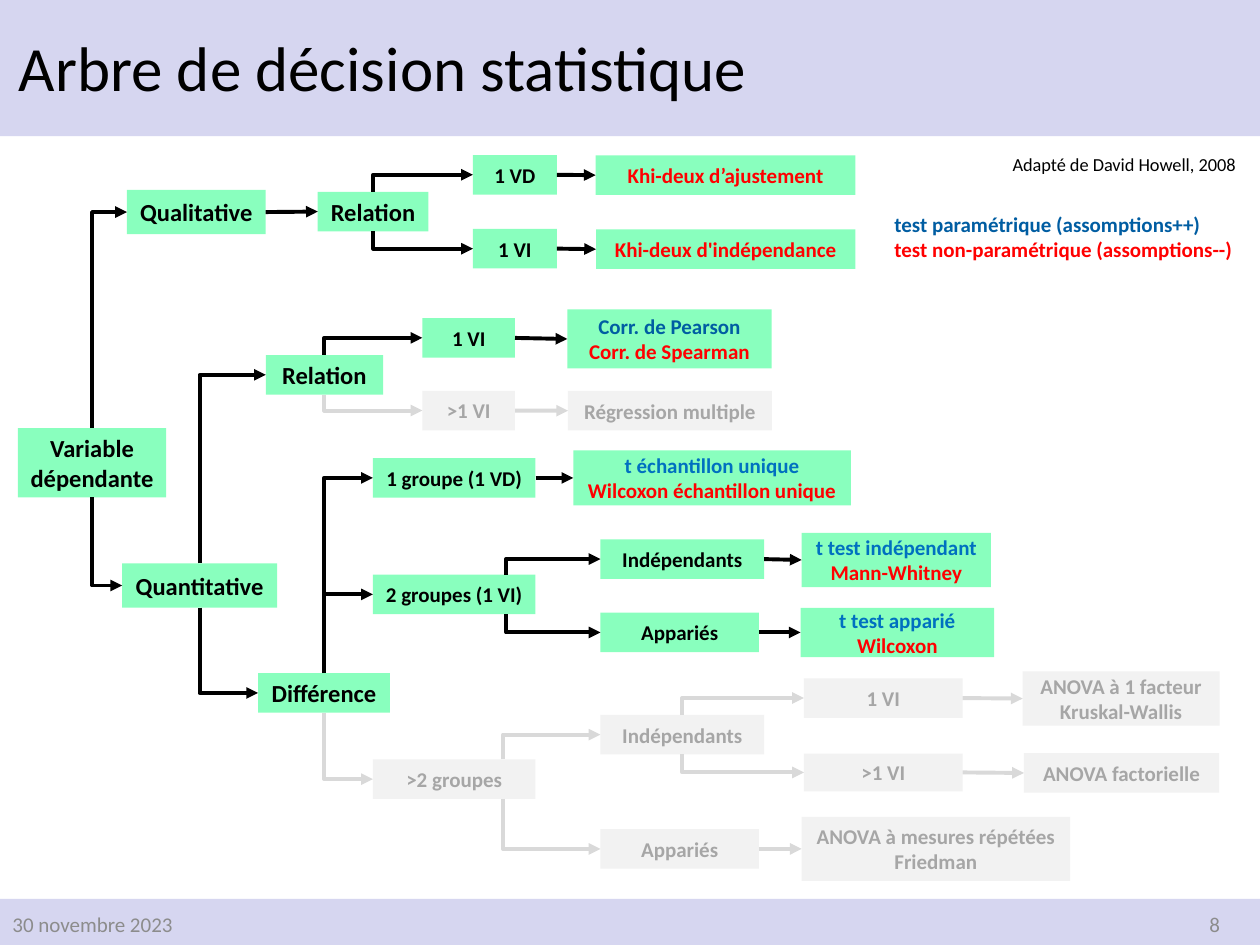
from dataclasses import dataclass

from lxml import etree
from pptx import Presentation
from pptx.dml.color import RGBColor
from pptx.enum.shapes import MSO_CONNECTOR, MSO_SHAPE
from pptx.enum.text import MSO_ANCHOR, MSO_AUTO_SIZE, PP_ALIGN
from pptx.oxml.ns import qn
from pptx.util import Pt

STRAIGHT, ELBOW = MSO_CONNECTOR.STRAIGHT, MSO_CONNECTOR.ELBOW
RECTANGLE = MSO_SHAPE.RECTANGLE
TOP, MIDDLE = MSO_ANCHOR.TOP, MSO_ANCHOR.MIDDLE
LEFT, CENTER, RIGHT = PP_ALIGN.LEFT, PP_ALIGN.CENTER, PP_ALIGN.RIGHT
NO_AUTOFIT = MSO_AUTO_SIZE.NONE
TITLE_ONLY = 5
LEFT_SITE, RIGHT_SITE = 1, 3


@dataclass(frozen=True)
class Theme:
    font: str = "Calibri"
    band: str = "D6D6F0"
    node: str = "89FFBE"
    muted_node: str = "F2F2F2"
    ink: str = "000000"
    muted_ink: str = "A6A6A6"
    muted_line: str = "D9D9D9"
    footer: str = "8C8C8C"
    parametric: str = "005DA2"
    parametric_t: str = "0070C0"
    nonparametric: str = "FF0000"
    title_size: float = 36
    branch_size: float = 14
    leaf_size: float = 12
    source_size: float = 10.5
    line_width: float = 2.25


THEME = Theme()
INK, GREY = THEME.ink, THEME.muted_ink
BLUE, T_BLUE, RED = THEME.parametric, THEME.parametric_t, THEME.nonparametric
BIG, SMALL = THEME.branch_size, THEME.leaf_size

SLIDE_W, SLIDE_H = 720, 540
BANDS = [(0, 0, SLIDE_W, 77.8), (0, 513.6, SLIDE_W, 26.4)]
TITLE = "Arbre de décision statistique"
TITLE_BOX = (3.6, 5, 618.5, 71.3)

# box, lines of (text, colour), size, alignment, anchor, wrap
NOTES = [
    ((0, 513.6, 162, 28.8), [("30 novembre 2023", THEME.footer)], SMALL, LEFT, MIDDLE, True),
    ((542.2, 513.6, 162, 28.8), [("8", THEME.footer)], SMALL, RIGHT, MIDDLE, True),
    ((571.5, 83.8, 144.7, 20), [("Adapté de David Howell, 2008", INK)],
     THEME.source_size, LEFT, TOP, False),
    ((504, 117.4, 210.2, 36), [("test paramétrique (assomptions++)", BLUE),
                               ("test non-paramétrique (assomptions--)", RED)],
     SMALL, LEFT, TOP, True),
]

ROW_H = 22.6
# key: (parent, left, centre height, width, height, size, lines)
TREE = {
    "variable": (None, 10.3, 264.4, 84.7, 39.6, BIG, [("Variable dépendante", INK)]),
    "qualitative": ("variable", 72.6, 121.2, 79.2, 25.4, BIG, [("Qualitative", INK)]),
    "quantitative": ("variable", 69.8, 334.6, 88.6, 25.4, BIG, [("Quantitative", INK)]),
    "qual relation": ("qualitative", 181.6, 120.9, 63.2, ROW_H, BIG, [("Relation", INK)]),
    "one vd": ("qual relation", 270.2, 99.9, 48, ROW_H, SMALL, [("1 VD", INK)]),
    "one vi": ("qual relation", 270.2, 142.1, 48, ROW_H, SMALL, [("1 VI", INK)]),
    "fit": ("one vd", 340.4, 100.1, 148.4, ROW_H, SMALL, [("Khi-deux d’ajustement", RED)]),
    "independence": ("one vi", 340.6, 142.4, 148.2, ROW_H, SMALL,
                     [("Khi-deux d'indépendance", RED)]),
    "relation": ("quantitative", 151.9, 214.2, 67, ROW_H, BIG, [("Relation", INK)]),
    "relation one": ("relation", 241.4, 193.1, 52.9, ROW_H, SMALL, [("1 VI", INK)]),
    "relation many": ("relation", 241.4, 234.6, 52.9, ROW_H, SMALL, [(">1 VI", GREY)]),
    "correlation": ("relation one", 324.2, 193.7, 116.8, 33.7, SMALL,
                    [("Corr. de Pearson", BLUE), ("Corr. de Spearman", RED)]),
    "regression": ("relation many", 324.6, 234.7, 116.5, ROW_H, SMALL,
                   [("Régression multiple", GREY)]),
    "difference": ("quantitative", 147.5, 396, 75.4, ROW_H, BIG, [("Différence", INK)]),
    "one group": ("difference", 213.1, 273.1, 92.9, ROW_H, SMALL, [("1 groupe (1 VD)", INK)]),
    "two groups": ("difference", 213.1, 339.7, 92.9, ROW_H, SMALL, [("2 groupes (1 VI)", INK)]),
    "more groups": ("difference", 213.1, 445.2, 92.9, ROW_H, SMALL, [(">2 groupes", GREY)]),
    "one sample": ("one group", 327.6, 273.1, 158.6, 31.5, SMALL,
                   [("t échantillon unique", T_BLUE), ("Wilcoxon échantillon unique", RED)]),
    "two indep": ("two groups", 343.1, 319.5, 93.6, ROW_H, SMALL, [("Indépendants", INK)]),
    "two paired": ("two groups", 343.1, 361.4, 90.6, ROW_H, SMALL, [("Appariés", INK)]),
    "t indep": ("two indep", 458.1, 320, 108.2, 31, SMALL,
                [("t test indépendant", T_BLUE), ("Mann-Whitney", RED)]),
    "t paired": ("two paired", 457.5, 361.4, 110.6, 28.2, SMALL,
                 [("t test apparié", T_BLUE), ("Wilcoxon", RED)]),
    "more indep": ("more groups", 343.1, 419.8, 93.6, ROW_H, SMALL, [("Indépendants", GREY)]),
    "more paired": ("more groups", 343.1, 485.1, 90.6, ROW_H, SMALL, [("Appariés", GREY)]),
    "one factor": ("more indep", 459.4, 398.9, 90.7, ROW_H, SMALL, [("1 VI", GREY)]),
    "factors": ("more indep", 459.4, 441.4, 90.7, 21.6, SMALL, [(">1 VI", GREY)]),
    "anova": ("one factor", 584.4, 399.2, 112.5, 31, SMALL,
              [("ANOVA à 1 facteur", GREY), ("Kruskal-Wallis", GREY)]),
    "factorial": ("factors", 585.1, 441.7, 111.6, ROW_H, SMALL, [("ANOVA factorielle", GREY)]),
    "repeated": ("more paired", 458.1, 485.1, 153.4, 36.6, SMALL,
                 [("ANOVA à mesures répétées", GREY), ("Friedman", GREY)]),
}
# branches that leave their box away from its centre
TRUNK_X = {"two groups": 289.2, "more groups": 287.4}
LEVEL_TOLERANCE = 2


def place(box):
    return [Pt(round(length, 2)) for length in box]


def add_run(paragraph, text, color, size, bold):
    run = paragraph.add_run()
    run.text = text
    run.font.name, run.font.size, run.font.bold = THEME.font, Pt(size), bold
    run.font.color.rgb = RGBColor.from_string(color)


def add_block(slide, box, fill):
    block = slide.shapes.add_shape(RECTANGLE, *place(box))
    block.shadow.inherit = False
    block.fill.solid()
    block.fill.fore_color.rgb = RGBColor.from_string(fill)
    block.line.fill.background()
    return block


def add_node(slide, left, middle, width, height, size, lines):
    muted = lines[0][1] == GREY
    node = add_block(slide, (left, middle - height / 2, width, height),
                     THEME.muted_node if muted else THEME.node)
    frame = node.text_frame
    frame.word_wrap, frame.vertical_anchor = True, MIDDLE
    frame.margin_left = frame.margin_right = Pt(4)
    paragraph = frame.paragraphs[0]
    paragraph.alignment = CENTER
    for index, (text, color) in enumerate(lines):
        if index:
            paragraph.add_line_break()
        add_run(paragraph, text, color, size, True)
    return node


def add_note(slide, box, lines, size, alignment, anchor, wrap):
    frame = slide.shapes.add_textbox(*place(box)).text_frame
    frame.word_wrap, frame.vertical_anchor = wrap, anchor
    for index, (text, color) in enumerate(lines):
        paragraph = frame.add_paragraph() if index else frame.paragraphs[0]
        paragraph.alignment = alignment
        add_run(paragraph, text, color, size, len(lines) > 1)


def add_elbow(slide, x, y, end_x, end_y):
    """Run vertically from (x, y), then horizontally to the end, as a turned one-bend connector."""
    up = end_y < y
    center_x, center_y = (x + end_x) / 2, (y + end_y) / 2
    half_w, half_h = abs(end_y - y) / 2, (end_x - x) / 2
    rise = half_h if up else -half_h
    elbow = slide.shapes.add_connector(ELBOW, *place(
        (center_x + half_w, center_y + rise, center_x - half_w, center_y - rise)))
    properties = elbow._element.spPr
    properties.find(qn("a:xfrm")).set("rot", str((90 if up else 270) * 60000))
    properties.find(qn("a:prstGeom")).set("prst", "bentConnector2")
    return elbow


def add_branch(slide, parent, child, nodes):
    _, left, middle, width, height, _, _ = TREE[parent]
    _, child_left, child_middle, _, _, _, lines = TREE[child]
    if abs(child_middle - middle) < LEVEL_TOLERANCE:
        branch = slide.shapes.add_connector(STRAIGHT, 0, 0, 0, 0)
        branch.begin_connect(nodes[parent], RIGHT_SITE)
        branch.end_connect(nodes[child], LEFT_SITE)
    else:
        edge = height / 2 if child_middle > middle else -height / 2
        trunk = TRUNK_X.get(parent, left + width / 2)
        branch = add_elbow(slide, trunk, middle + edge, child_left, child_middle)
    color = THEME.muted_line if lines[0][1] == GREY else INK
    branch.line.color.rgb = RGBColor.from_string(color)
    branch.line.width = Pt(THEME.line_width)
    etree.SubElement(branch.line._get_or_add_ln(), qn("a:tailEnd"), type="triangle")
    etree.SubElement(branch._element.spPr, qn("a:effectLst"))


def add_title(slide):
    title = slide.shapes.title
    title.left, title.top, title.width, title.height = place(TITLE_BOX)
    frame = title.text_frame
    frame.auto_size, frame.vertical_anchor = NO_AUTOFIT, MIDDLE
    paragraph = frame.paragraphs[0]
    paragraph.alignment, paragraph.line_spacing = LEFT, 0.9
    add_run(paragraph, TITLE, INK, THEME.title_size, False)


def main():
    deck = Presentation()
    deck.slide_width, deck.slide_height = Pt(SLIDE_W), Pt(SLIDE_H)
    slide = deck.slides.add_slide(deck.slide_layouts[TITLE_ONLY])
    add_title(slide)
    for box in BANDS:
        band = add_block(slide, box, THEME.band)
        slide.shapes._spTree.insert(2, band._element)  # behind the title
    for note in NOTES:
        add_note(slide, *note)
    nodes = {key: add_node(slide, *node[1:]) for key, node in TREE.items()}
    for key, node in TREE.items():
        if node[0]:
            add_branch(slide, node[0], key, nodes)
    deck.save("out.pptx")


if __name__ == "__main__":
    main()
